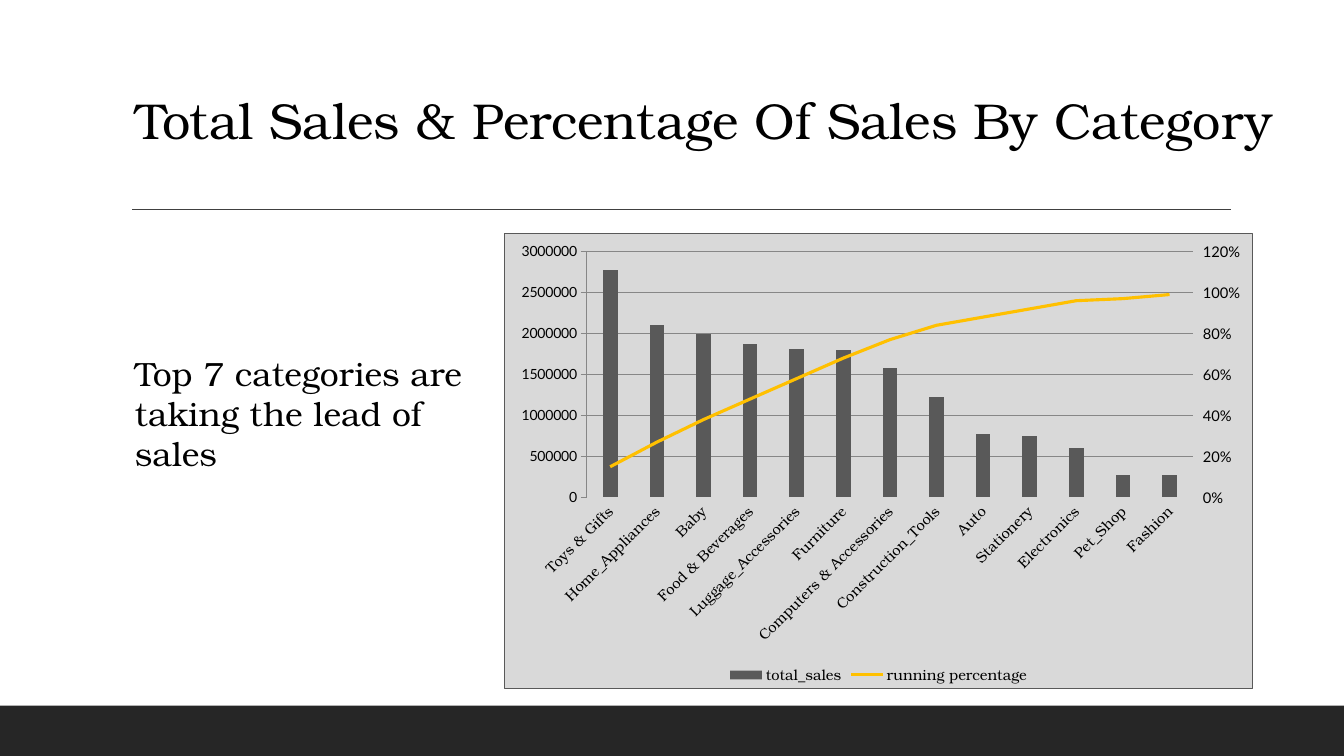
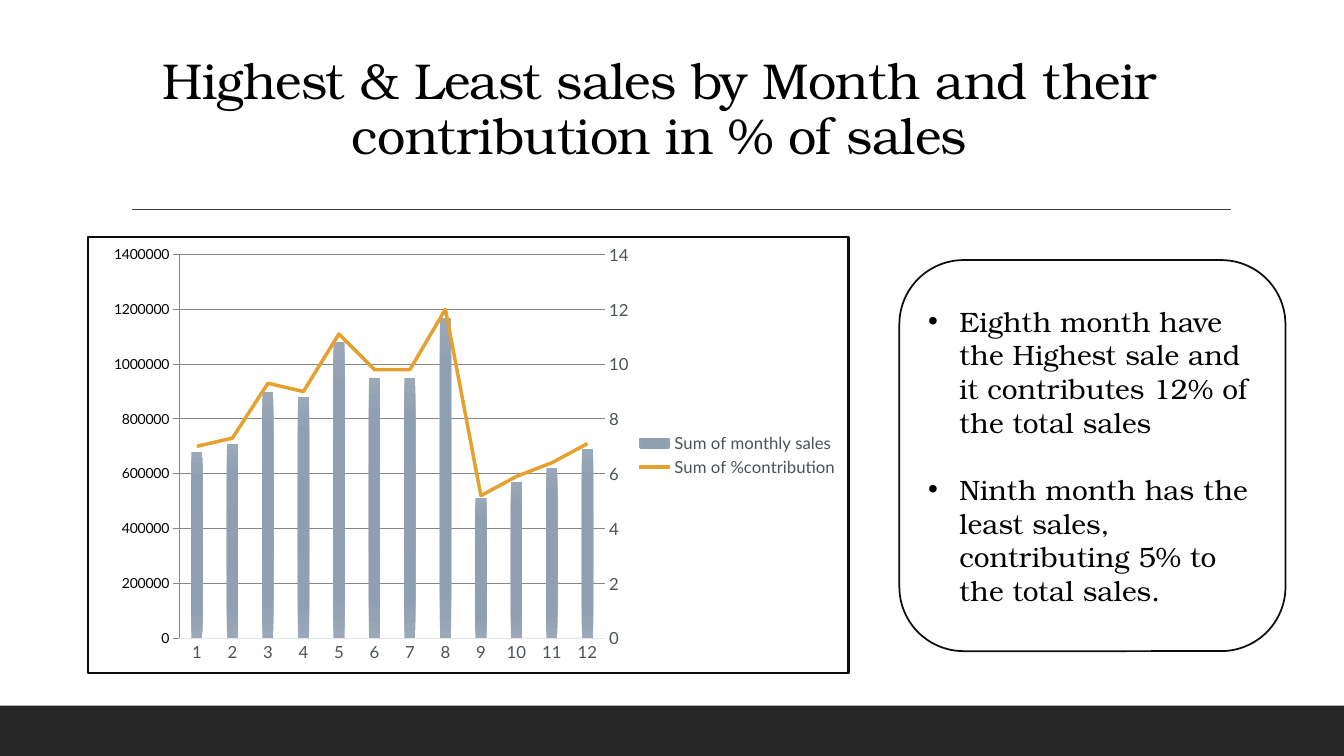
from dataclasses import dataclass
from pptx import Presentation
from pptx import util as u
from pptx.chart import axis as chart_axis
from pptx.chart.data import CategoryChartData
from pptx.dml.color import RGBColor
from pptx.enum import chart as ec, shapes, text
from pptx.oxml import parse_xml
from pptx.oxml.ns import nsdecls


@dataclass(frozen=True)
class Theme:
    serif: str = "TeX Gyre Bonum"
    sans: str = "Lato"
    ink: str = "000000"
    paper: str = "FFFFFF"
    band: str = "262626"
    rule: str = "404040"
    edge: str = "0D0D0D"
    title: float = 36
    body: float = 24
    bullet: float = 20
    chart: float = 10


THEME = Theme()


@dataclass(frozen=True)
class ChartStyle:
    place: tuple
    plot: tuple
    legend: ec.XL_LEGEND_POSITION
    fill: str
    border: tuple
    text_color: str
    grid: str
    category_line: str
    fonts: tuple
    sizes: tuple
    right_tick: ec.XL_TICK_MARK
    left_scale: tuple
    right_scale: tuple
    right_format: str
    bars: object
    line: tuple
    rotation: int = 0


SALES_STYLE = ChartStyle(
    place=(5, 2.31, 7.43, 4.53), plot=(0.11, 0.04, 0.81, 0.54),
    legend=ec.XL_LEGEND_POSITION.BOTTOM, fill="D9D9D9", border=("595959", 0.75),
    text_color=THEME.ink, grid="FFFFFF", category_line="D9D9D9",
    fonts=(THEME.serif, THEME.serif, THEME.sans, THEME.serif), sizes=(10.5, 10, 10.5, 10.5),
    right_tick=ec.XL_TICK_MARK.OUTSIDE, left_scale=(3000000, 500000),
    right_scale=(1.2, 0.2), right_format="0%",
    bars="595959", line=("FFC000", 2.25), rotation=-45)

MONTH_STYLE = ChartStyle(
    place=(0.86, 2.34, 7.57, 4.35), plot=(0.12, 0.04, 0.56, 0.88),
    legend=ec.XL_LEGEND_POSITION.RIGHT, fill="", border=(THEME.edge, 1.75),
    text_color="4A5356", grid="E3E6E7", category_line="E3E6E7",
    fonts=(THEME.sans,) * 4, sizes=(12,) * 4,
    right_tick=ec.XL_TICK_MARK.NONE, left_scale=(1400000, 200000),
    right_scale=(14, 2), right_format="0",
    bars=((0, "8D9CAE"), (34, "8F9EB0"), (70, "90A0B3"), (100, "9AA8B8")),
    line=("E6A02E", 2.5))

SALES = {
    "Toys & Gifts": (2780000, 0.15), "Home_Appliances": (2110000, 0.27),
    "Baby": (1990000, 0.38), "Food & Beverages": (1870000, 0.48),
    "Luggage_Accessories": (1810000, 0.58), "Furniture": (1800000, 0.68),
    "Computers & Accessories": (1580000, 0.77), "Construction_Tools": (1220000, 0.84),
    "Auto": (770000, 0.88), "Stationery": (750000, 0.92), "Electronics": (600000, 0.96),
    "Pet_Shop": (280000, 0.97), "Fashion": (270000, 0.99),
}

MONTHS = {
    "1": (680000, 7), "2": (710000, 7.3), "3": (900000, 9.3), "4": (880000, 9),
    "5": (1080000, 11.1), "6": (950000, 9.8), "7": (950000, 9.8), "8": (1170000, 12),
    "9": (510000, 5.2), "10": (570000, 5.9), "11": (620000, 6.4), "12": (690000, 7.1),
}


def inches(*lengths):
    return [u.Inches(length) for length in lengths]


def paint(fill, color):
    fill.solid()
    fill.fore_color.rgb = RGBColor.from_string(color)


def draw_line(line, color, width):
    paint(line.fill, color)
    line.width = u.Pt(width)


def set_font(font, size, color=THEME.ink, name=THEME.serif):
    font.size = u.Pt(size)
    font.name = name
    font.color.rgb = RGBColor.from_string(color)


def add_frame(layout, page):
    for placeholder in list(layout.placeholders):
        if placeholder.placeholder_format.idx:
            placeholder.element.getparent().remove(placeholder.element)
    band = page.shapes.add_shape(shapes.MSO_SHAPE.RECTANGLE, *inches(0, 7, 13.33, 0.5))
    band.shadow.inherit = False
    paint(band.fill, THEME.band)
    band.line.fill.background()
    rule = page.shapes.add_connector(
        shapes.MSO_CONNECTOR.STRAIGHT, *inches(1.31, 2.08, 12.21, 2.08))
    draw_line(rule.line, THEME.rule, 1)
    rule.element.spPr.append(parse_xml(f"<a:effectLst {nsdecls('a')}/>"))
    for shape in (band, rule):
        layout.shapes.element.append(shape.element)


def set_title(page, words, place, align, anchor, line_spacing=1, tracking=0):
    title = page.shapes.title
    title.left, title.top, title.width, title.height = inches(*place)
    frame = title.text_frame
    frame.text = words
    frame.auto_size = text.MSO_AUTO_SIZE.NONE
    frame.word_wrap = True
    frame.vertical_anchor = anchor
    para = frame.paragraphs[0]
    para.alignment = align
    para.line_spacing = line_spacing
    span = para.runs[0]
    set_font(span.font, THEME.title)
    span.font._element.set("spc", str(int(tracking * 100)))


def add_statement(page, words, place):
    box = page.shapes.add_textbox(*inches(*place))
    box.text_frame.word_wrap = True
    box.text_frame.auto_size = text.MSO_AUTO_SIZE.SHAPE_TO_FIT_TEXT
    box.text_frame.text = words
    set_font(box.text_frame.paragraphs[0].runs[0].font, THEME.body)


def add_bullet_card(page, items, place):
    card = page.shapes.add_shape(shapes.MSO_SHAPE.ROUNDED_RECTANGLE, *inches(*place))
    card.shadow.inherit = False
    paint(card.fill, THEME.paper)
    draw_line(card.line, THEME.edge, 1.25)
    frame = card.text_frame
    frame.word_wrap = True
    frame.vertical_anchor = text.MSO_ANCHOR.MIDDLE
    frame.text = "\n".join(items)
    indent = u.Inches(0.31)
    for index, para in enumerate(frame.paragraphs):
        para.alignment = text.PP_ALIGN.LEFT
        if index:
            para.space_before = u.Pt(24)
        properties = para._p.get_or_add_pPr()
        properties.set("marL", str(indent))
        properties.set("indent", str(-indent))
        properties.append(parse_xml(f'<a:buFont {nsdecls("a")} typeface="Arial"/>'))
        properties.append(parse_xml(f'<a:buChar {nsdecls("a")} char="•"/>'))
        set_font(para.runs[0].font, THEME.bullet)


def move_to_right_axis(chart):
    plot_area = chart._chartSpace.xpath("c:chart/c:plotArea")[0]
    bars = plot_area.xpath("c:barChart")[0]
    series = bars.xpath("c:ser")[1]
    for element in series.xpath("c:invertIfNegative"):
        series.remove(element)
    lines = parse_xml(
        f'<c:lineChart {nsdecls("c")}><c:grouping val="standard"/><c:varyColors val="0"/>'
        '<c:marker val="1"/><c:axId val="5001"/><c:axId val="5002"/></c:lineChart>')
    lines.insert(2, series)
    bars.addnext(lines)
    hidden = parse_xml(
        f'<c:catAx {nsdecls("c")}><c:axId val="5001"/>'
        '<c:scaling><c:orientation val="minMax"/></c:scaling><c:delete val="1"/>'
        '<c:axPos val="b"/><c:crossAx val="5002"/></c:catAx>')
    right = parse_xml(
        f'<c:valAx {nsdecls("c")}><c:axId val="5002"/>'
        '<c:scaling><c:orientation val="minMax"/></c:scaling><c:delete val="0"/>'
        '<c:axPos val="r"/><c:majorTickMark val="none"/><c:minorTickMark val="none"/>'
        '<c:tickLblPos val="nextTo"/><c:crossAx val="5001"/><c:crosses val="max"/>'
        '<c:crossBetween val="between"/></c:valAx>')
    left = plot_area.xpath("c:valAx")[0]
    left.addnext(right)
    right.addnext(hidden)
    return chart_axis.ValueAxis(right)


def place_plot(chart, place):
    plot_area = chart._chartSpace.xpath("c:chart/c:plotArea")[0]
    for layout in plot_area.xpath("c:layout"):
        plot_area.remove(layout)
    values = "".join(f'<c:{key} val="{value}"/>' for key, value in zip("xywh", place))
    plot_area.insert(0, parse_xml(
        f'<c:layout {nsdecls("c")}><c:manualLayout><c:layoutTarget val="inner"/>'
        f'<c:xMode val="edge"/><c:yMode val="edge"/>{values}</c:manualLayout></c:layout>'))


def set_chart_area(chart, fill, border):
    color, width = border
    inside = f'<a:solidFill><a:srgbClr val="{fill}"/></a:solidFill>' if fill else "<a:noFill/>"
    chart._chartSpace.xpath("c:chart")[0].addnext(parse_xml(
        f'<c:spPr {nsdecls("c", "a")}>{inside}<a:ln w="{u.Pt(width)}"><a:solidFill>'
        f'<a:srgbClr val="{color}"/></a:solidFill></a:ln></c:spPr>'))


def paint_bars(series, color):
    if isinstance(color, str):
        paint(series.format.fill, color)
        return
    stops = "".join(f'<a:gs pos="{position * 1000}"><a:srgbClr val="{shade}"/></a:gs>'
                    for position, shade in color)
    series._element.get_or_add_spPr().insert(0, parse_xml(
        f'<a:gradFill {nsdecls("a")}><a:gsLst>{stops}</a:gsLst><a:path path="circle">'
        '<a:fillToRect l="100000" t="100000" r="100000" b="100000"/></a:path></a:gradFill>'))


def style_value_axis(axis, scale, number_format):
    axis.minimum_scale = 0
    axis.maximum_scale, axis.major_unit = scale
    axis.tick_labels.number_format = number_format
    axis.tick_labels.number_format_is_linked = False
    axis.format.line.fill.background()


def add_combined_chart(page, rows, names, style):
    data = CategoryChartData()
    data.categories = list(rows)
    for name, values in zip(names, zip(*rows.values())):
        data.add_series(name, values)
    chart = page.shapes.add_chart(
        ec.XL_CHART_TYPE.COLUMN_CLUSTERED, *inches(*style.place), data).chart
    chart.has_title = False
    set_font(chart.font, THEME.chart, name=THEME.sans)
    right = move_to_right_axis(chart)
    place_plot(chart, style.plot)
    set_chart_area(chart, style.fill, style.border)

    bars, lines = chart.plots
    bars.gap_width, bars.overlap = 219, -27
    bars.vary_by_categories = False
    paint_bars(bars.series[0], style.bars)
    curve = lines.series[0]
    draw_line(curve.format.line, *style.line)
    curve.marker.style = ec.XL_MARKER_STYLE.NONE
    curve.smooth = False

    bottom, left = chart.category_axis, chart.value_axis
    chart.has_legend = True
    chart.legend.position = style.legend
    chart.legend.include_in_layout = False
    fonts = (bottom.tick_labels.font, left.tick_labels.font,
             right.tick_labels.font, chart.legend.font)
    for font, name, size in zip(fonts, style.fonts, style.sizes):
        set_font(font, size, style.text_color, name)
    for axis in (bottom, left):
        axis.major_tick_mark = ec.XL_TICK_MARK.NONE
    right.major_tick_mark = style.right_tick
    draw_line(bottom.format.line, style.category_line, 0.75)
    draw_line(left.major_gridlines.format.line, style.grid, 0.75)
    style_value_axis(left, style.left_scale, "0")
    style_value_axis(right, style.right_scale, style.right_format)
    if style.rotation:
        body = bottom._element.xpath("c:txPr/a:bodyPr")[0]
        body.set("rot", str(style.rotation * 60000))


def build_category_page(page):
    set_title(page, "Total Sales & Percentage Of Sales By Category",
              (1.24, 0.83, 11.59, 0.71), text.PP_ALIGN.LEFT, text.MSO_ANCHOR.TOP)
    add_combined_chart(page, SALES, ("total_sales", "running percentage"), SALES_STYLE)
    add_statement(page, "Top 7 categories are taking the lead of sales",
                  (1.24, 3.45, 3.76, 1.31))


def build_month_page(page):
    set_title(page, "Highest & Least sales by Month and their contribution in % of sales",
              (1.04, 0.36, 11, 1.33), text.PP_ALIGN.CENTER, text.MSO_ANCHOR.BOTTOM,
              line_spacing=0.9, tracking=-0.5)
    add_combined_chart(page, MONTHS, ("Sum of monthly sales", "Sum of %contribution"),
                       MONTH_STYLE)
    add_bullet_card(page, (
        "Eighth month have the Highest sale and it contributes 12% of the total sales",
        "Ninth month has the least sales, contributing 5% to the total sales.",
    ), (8.92, 2.58, 3.83, 3.88))


def main():
    deck = Presentation()
    deck.slide_width, deck.slide_height = inches(13.33, 7.5)
    layout = deck.slide_layouts[5]
    pages = [deck.slides.add_slide(layout) for _ in range(2)]
    add_frame(layout, pages[0])
    build_category_page(pages[0])
    build_month_page(pages[1])
    deck.save("out.pptx")


if __name__ == "__main__":
    main()
